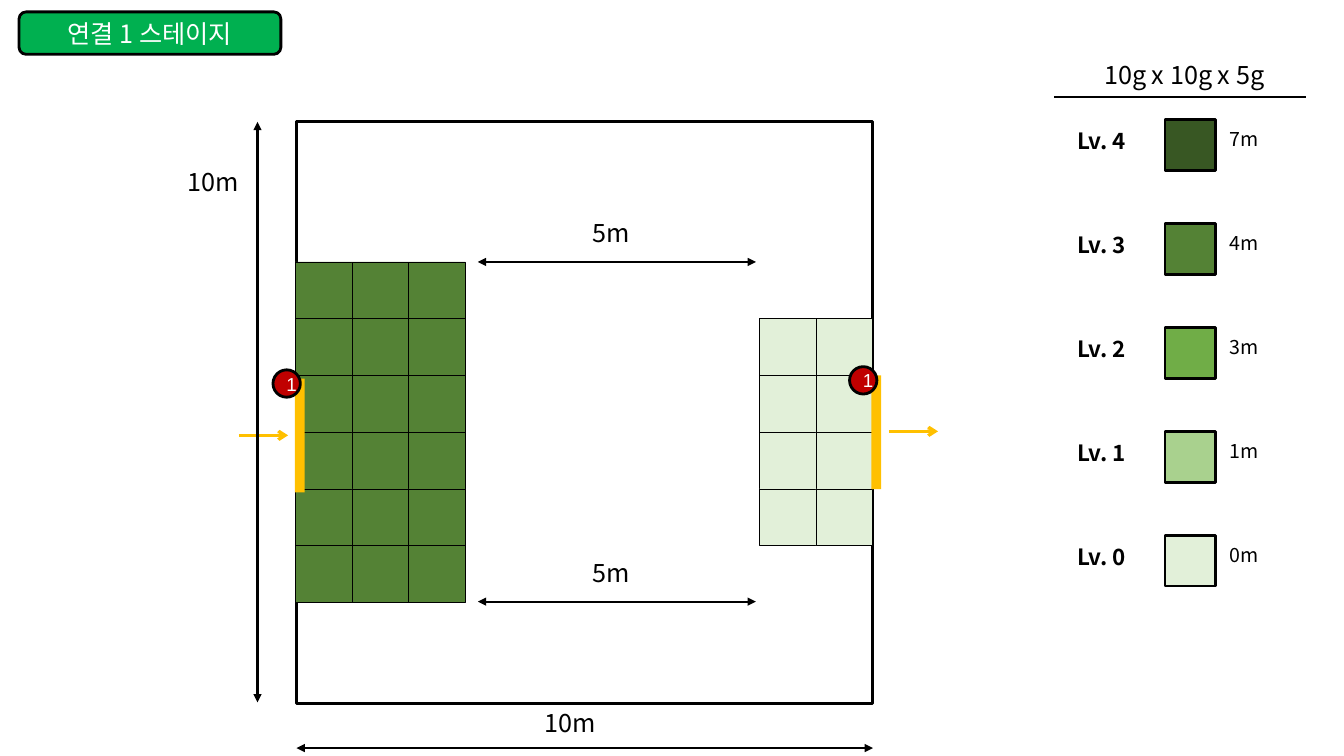
"""Builds the level layout slide for the first connecting stage."""
from lxml import etree
from pptx import Presentation
from pptx.dml.color import RGBColor
from pptx.enum.shapes import MSO_CONNECTOR, MSO_SHAPE
from pptx.enum.text import MSO_ANCHOR, PP_ALIGN
from pptx.oxml.ns import qn
from pptx.util import Cm, Pt

RECT, ROUNDED, OVAL = MSO_SHAPE.RECTANGLE, MSO_SHAPE.ROUNDED_RECTANGLE, MSO_SHAPE.OVAL
STRAIGHT = MSO_CONNECTOR.STRAIGHT
LEFT, CENTER = PP_ALIGN.LEFT, PP_ALIGN.CENTER
TOP, MIDDLE = MSO_ANCHOR.TOP, MSO_ANCHOR.MIDDLE
KOREAN_FONT, BADGE_FONT = "Noto Sans CJK KR", "Arial"
COLORS = {
    "black": "000000", "white": "FFFFFF", "title": "00B050", "gate": "FFC000",
    "badge": "C00000", "level 4": "385723", "level 3": "548235",
    "level 2": "70AD47", "level 1": "A9D18E", "level 0": "E2F0D9",
}
LEVELS = [(4, "7m"), (3, "4m"), (2, "3m"), (1, "1m"), (0, "0m")]
LEVEL_PITCH = 2.62
CELL = 1.43
GATE_WIDTH, GATE_HEIGHT = 0.25, 2.87


def rgb(color):
    """Return the named colour."""
    return RGBColor.from_string(COLORS[color])


def write(frame, text, size=18, color="black", font=KOREAN_FONT, bold=False,
          align=CENTER, anchor=TOP):
    """Put one formatted line of text into a text frame."""
    frame.word_wrap = True
    frame.vertical_anchor = anchor
    paragraph = frame.paragraphs[0]
    paragraph.alignment = align
    run = paragraph.add_run()
    run.text = text
    run.font.size = Pt(size)
    run.font.bold = bold
    run.font.name = font
    run.font.color.rgb = rgb(color)
    etree.SubElement(run.font._element, qn("a:ea"), typeface=font)


def add_label(slide, text, left, top, width=5.59, height=1.02, **text_format):
    """Add a text box."""
    box = slide.shapes.add_textbox(Cm(left), Cm(top), Cm(width), Cm(height))
    write(box.text_frame, text, **text_format)


def add_block(slide, kind, left, top, width, height, fill=None, line_width=None):
    """Add a preset shape with an optional fill and black outline."""
    block = slide.shapes.add_shape(kind, Cm(left), Cm(top), Cm(width), Cm(height))
    block.shadow.inherit = False
    if fill:
        block.fill.solid()
        block.fill.fore_color.rgb = rgb(fill)
    else:
        block.fill.background()
    if line_width:
        block.line.color.rgb = rgb("black")
        block.line.width = Pt(line_width)
    else:
        block.line.fill.background()
    return block


def add_line(slide, start, end, color="black", width=1.5, head=None, tail=None):
    """Add a straight line with optional arrowheads at start and end."""
    line = slide.shapes.add_connector(STRAIGHT, *map(Cm, start + end))
    line.line.color.rgb = rgb(color)
    line.line.width = Pt(width)
    outline = line.line._get_or_add_ln()
    for tag, arrow in (("a:headEnd", head), ("a:tailEnd", tail)):
        if arrow:
            etree.SubElement(outline, qn(tag), type=arrow)
    etree.SubElement(line._element.spPr, qn("a:effectLst"))


def add_dimension(slide, text, start, end, label_left, label_top):
    """Add a double-headed measuring arrow and its length."""
    add_line(slide, start, end, head="triangle", tail="triangle")
    add_label(slide, text, label_left, label_top)


def add_platform(slide, left, top, columns, rows, fill):
    """Add a grid of square cells of one height level."""
    for row in range(rows):
        for column in range(columns):
            add_block(slide, RECT, left + column * CELL, top + row * CELL,
                      CELL, CELL, fill, 0.25)


def add_gate(slide, left, top, arrow_left, arrow_y):
    """Add a gate with its direction arrow and numbered badge."""
    add_block(slide, RECT, left, top, GATE_WIDTH, GATE_HEIGHT, "gate")
    add_line(slide, (arrow_left, arrow_y), (arrow_left + 1.24, arrow_y),
             color="gate", width=2.25, tail="arrow")
    badge = add_block(slide, OVAL, left - 0.55, top - 0.22, 0.69, 0.69, "badge", 2)
    write(badge.text_frame, "1", size=13.4, color="white", font=BADGE_FONT,
          anchor=MIDDLE)


def add_legend(slide):
    """Add the scale heading and the swatch of each height level."""
    add_line(slide, (26.57, 2.44), (32.92, 2.44), width=1)
    add_label(slide, "10g x 10g x 5g", 27.05, 1.37)
    for index, (level, height) in enumerate(LEVELS):
        offset = index * LEVEL_PITCH
        add_block(slide, RECT, 29.36, 3.02 + offset, 1.27, 1.27, f"level {level}", 2)
        add_label(slide, height, 30.73, 3.07 + offset, 1.8, 0.84, size=14, align=LEFT)
        add_label(slide, f"Lv. {level}", 26.9, 3.07 + offset, 2.72, 0.91,
                  size=16, bold=True, align=LEFT)


def main():
    """Build and save the slide."""
    deck = Presentation()
    deck.slide_width, deck.slide_height = Cm(33.87), Cm(19.05)
    slide = deck.slides.add_slide(deck.slide_layouts[6])

    add_block(slide, RECT, 7.47, 3.07, 14.53, 14.66, line_width=2.25)
    add_legend(slide)
    title = add_block(slide, ROUNDED, 0.48, 0.3, 6.6, 1.07, "title", 2)
    write(title.text_frame, "연결 1 스테이지", color="white", anchor=MIDDLE)

    add_platform(slide, 19.13, 8.03, 2, 4, "level 0")
    add_gate(slide, 21.96, 9.46, 22.4, 10.87)
    add_platform(slide, 7.44, 6.6, 3, 6, "level 3")
    add_gate(slide, 7.43, 9.54, 6.02, 10.97)

    for y in (6.6, 15.16):
        add_dimension(slide, "5m", (12.04, y), (19.05, y), 12.6, y - 1.24)
    add_dimension(slide, "10m", (7.47, 18.85), (22, 18.85), 11.58, 17.7)
    add_dimension(slide, "10m", (6.49, 3.07), (6.49, 17.7), 2.57, 4.06)

    deck.save("out.pptx")


if __name__ == "__main__":
    main()
